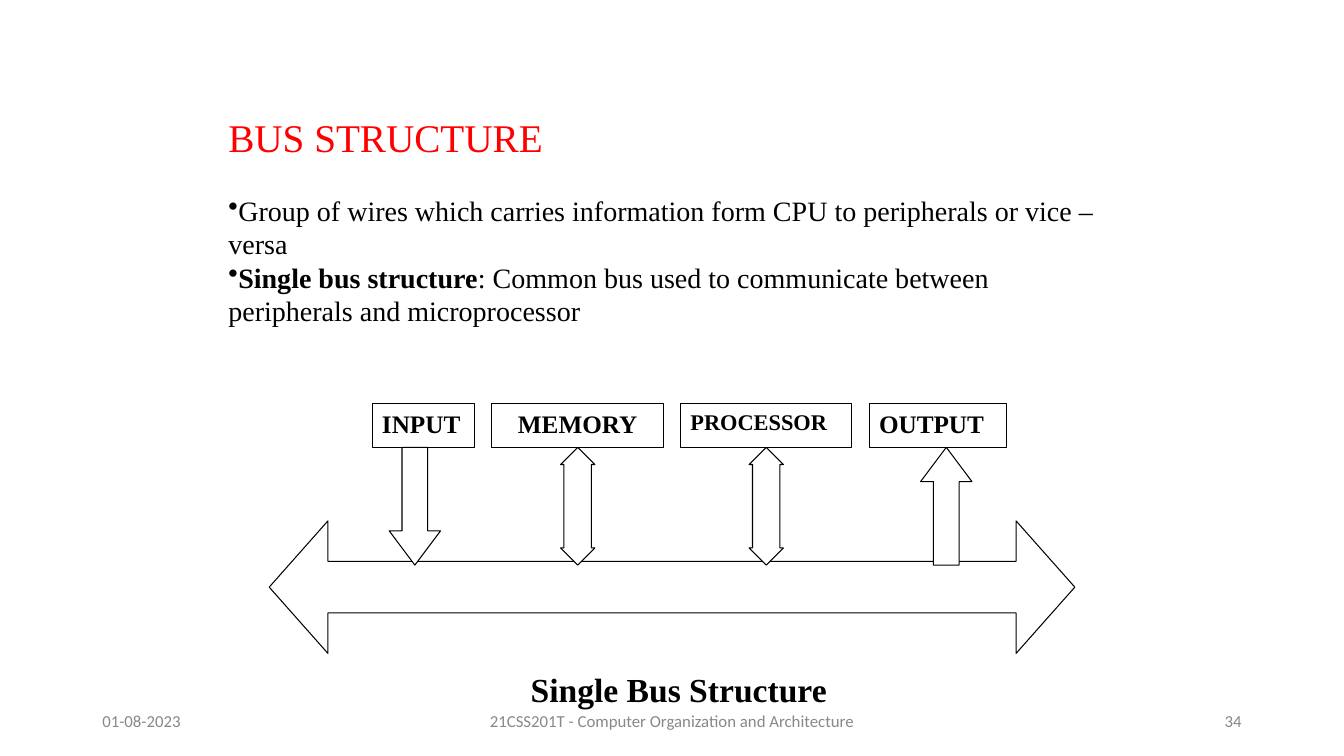
"""Build the bus structure slide with its single bus diagram."""
from dataclasses import dataclass

import pptx
import pptx.dml.color
import pptx.enum.shapes
import pptx.enum.text
import pptx.oxml.ns
import pptx.slide
import pptx.text.text
import pptx.util
from lxml import etree

SHAPE = pptx.enum.shapes.MSO_SHAPE
ALIGN = pptx.enum.text.PP_ALIGN
ANCHOR = pptx.enum.text.MSO_ANCHOR


@dataclass(frozen=True)
class Theme:
    body_font: str = "Times New Roman"
    footer_font: str = "Calibri"
    red: str = "FF0000"
    black: str = "000000"
    white: str = "FFFFFF"
    grey: str = "888888"
    title: int = 28
    caption: int = 24
    body: int = 20
    label: int = 18
    small_label: int = 16
    footer: int = 12
    line: float = 0.75


@dataclass(frozen=True)
class Grid:
    left: float = 3.69
    top: float = 4.0
    col: float = 0.17
    row: float = 0.146


@dataclass(frozen=True)
class Run:
    text: str
    size: int
    color: str
    bold: bool = False
    font: str = "Times New Roman"


@dataclass(frozen=True)
class Para:
    runs: tuple[Run, ...]
    align: ALIGN = ALIGN.LEFT
    bullet: bool = False
    before: int = 0


@dataclass(frozen=True)
class TextBlock:
    x: float
    y: float
    w: float
    h: float
    paras: tuple[Para, ...]
    anchor: ANCHOR = ANCHOR.TOP


@dataclass(frozen=True)
class Block:
    kind: SHAPE
    col: int
    row: int
    cols: int
    rows: int
    adjust: tuple[float, ...] = ()
    turn: int = 0
    paras: tuple[Para, ...] = ()


T = Theme()
G = Grid()


def label(text: str, size: int = T.label, align: ALIGN = ALIGN.LEFT) -> tuple[Para, ...]:
    """Return the bold text of a unit box."""
    return (Para((Run(text, size, T.black, True),), align),)


def footer(x: float, w: float, text: str, align: ALIGN) -> TextBlock:
    """Return one entry of the footer row."""
    run = Run(text, T.footer, T.grey, font=T.footer_font)
    return TextBlock(x, 92.67, w, 5.33, (Para((run,), align),), ANCHOR.MIDDLE)


TEXTS = (
    TextBlock(16.25, 14.4, 66.25, 32, (
        Para((Run("BUS STRUCTURE", T.title, T.red),)),
        Para((Run("Group of wires which carries information form CPU to peripherals or vice – versa",
                  T.body, T.black),), bullet=True, before=23),
        Para((Run("Single bus structure", T.body, T.black, True),
              Run(": Common bus used to communicate between peripherals and microprocessor",
                  T.body, T.black)), bullet=True),
    )),
    TextBlock(35.5, 87.87, 30, 6.4,
              (Para((Run("Single Bus Structure", T.caption, T.black, True),), ALIGN.CENTER),)),
    footer(70.63, 22.5, "34", ALIGN.RIGHT),
    footer(6.88, 22.5, "01-08-2023", ALIGN.LEFT),
    footer(33.13, 33.75, "21CSS201T - Computer Organization and Architecture", ALIGN.CENTER),
)

ONE_WAY = (0.5, 0.667)
TWO_WAY = (0.5, 0.8)
DIAGRAM = (
    Block(SHAPE.LEFT_RIGHT_ARROW, -6, 8, 47, 9, (0.389, 0.443)),
    Block(SHAPE.RECTANGLE, 0, 0, 6, 3, paras=label("INPUT")),
    Block(SHAPE.RECTANGLE, 7, 0, 10, 3, paras=label("MEMORY", align=ALIGN.CENTER)),
    Block(SHAPE.RECTANGLE, 18, 0, 10, 3, paras=label("PROCESSOR", T.small_label)),
    Block(SHAPE.RECTANGLE, 29, 0, 8, 3, paras=label("OUTPUT")),
    Block(SHAPE.DOWN_ARROW, 1, 3, 3, 8, ONE_WAY),
    Block(SHAPE.UP_DOWN_ARROW, 11, 3, 2, 8, TWO_WAY),
    Block(SHAPE.UP_DOWN_ARROW, 22, 3, 2, 8, TWO_WAY),
    Block(SHAPE.DOWN_ARROW, 32, 3, 3, 8, ONE_WAY, 180),
)


def rgb(code: str) -> pptx.dml.color.RGBColor:
    """Turn a hex code into a colour."""
    return pptx.dml.color.RGBColor.from_string(code)


def write(tf: pptx.text.text.TextFrame, paras: tuple[Para, ...], anchor: ANCHOR) -> None:
    """Fill a text frame run by run."""
    tf.word_wrap = True
    tf.vertical_anchor = anchor
    for i, para in enumerate(paras):
        p = tf.add_paragraph() if i else tf.paragraphs[0]
        p.alignment = para.align
        if para.before:
            p.space_before = pptx.util.Pt(para.before)
        if para.bullet:
            pPr = p._p.get_or_add_pPr()
            pPr.set("marL", "0")
            pPr.set("indent", str(pptx.util.Inches(-0.14)))
            etree.SubElement(pPr, pptx.oxml.ns.qn("a:buChar"), char="•")
        for run in para.runs:
            r = p.add_run()
            r.text = run.text
            r.font.name = run.font
            r.font.size = pptx.util.Pt(run.size)
            r.font.bold = run.bold
            r.font.color.rgb = rgb(run.color)


def draw_text(s: pptx.slide.Slide, t: TextBlock, width: int, height: int) -> None:
    """Place a text box by percentages of the slide."""
    sp = s.shapes.add_textbox(int(width * t.x / 100), int(height * t.y / 100),
                              int(width * t.w / 100), int(height * t.h / 100))
    write(sp.text_frame, t.paras, t.anchor)


def draw_block(s: pptx.slide.Slide, b: Block) -> None:
    """Place an outlined shape on the diagram grid."""
    inches = pptx.util.Inches
    sp = s.shapes.add_shape(b.kind, inches(G.left + b.col * G.col), inches(G.top + b.row * G.row),
                            inches(b.cols * G.col), inches(b.rows * G.row))
    sp.shadow.inherit = False
    sp.fill.solid()
    sp.fill.fore_color.rgb = rgb(T.white)
    sp.line.color.rgb = rgb(T.black)
    sp.line.width = pptx.util.Pt(T.line)
    sp.rotation = b.turn
    for i, value in enumerate(b.adjust):
        sp.adjustments[i] = value
    if b.paras:
        write(sp.text_frame, b.paras, ANCHOR.TOP)


def main() -> None:
    """Create and save the slide."""
    prs = pptx.Presentation()
    prs.slide_width = pptx.util.Inches(13.33)
    prs.slide_height = pptx.util.Inches(7.5)
    s = prs.slides.add_slide(prs.slide_layouts[6])
    for block in DIAGRAM:
        draw_block(s, block)
    for text in TEXTS:
        draw_text(s, text, prs.slide_width, prs.slide_height)
    prs.save("out.pptx")


if __name__ == "__main__":
    main()
